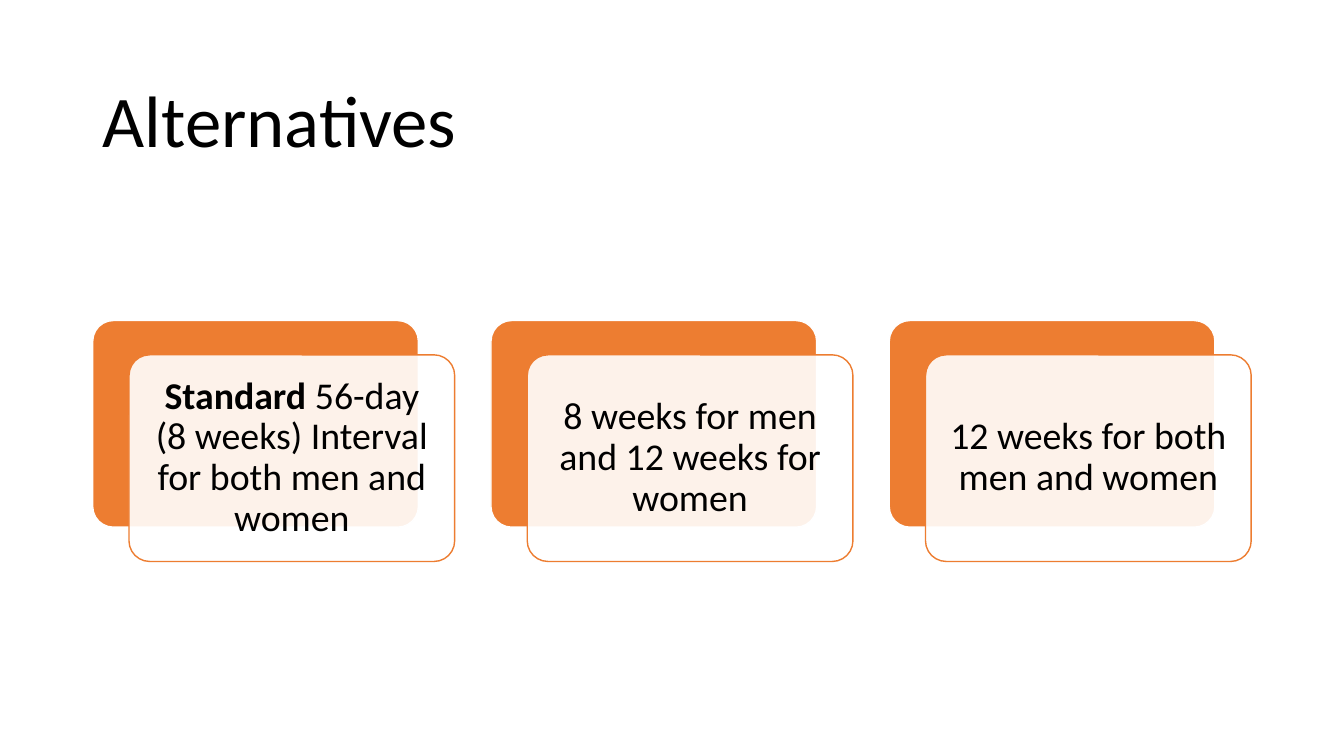
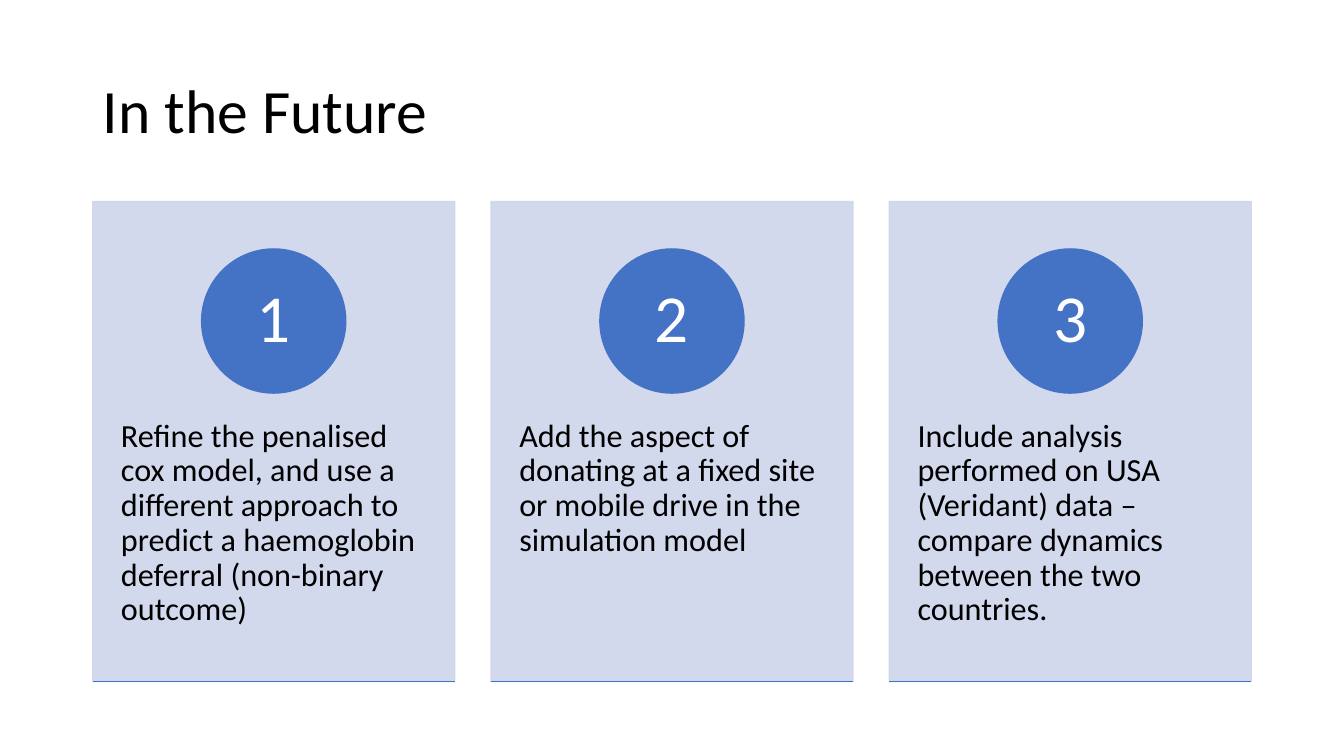
import pptx
import pptx.util
import pptx.dml.color
import pptx.enum.shapes
import pptx.enum.text
import pptx.oxml
import pptx.oxml.ns

PX = 9144
FONT = "Calibri"
COLORS = {
    "text": "000000",
    "white": "FFFFFF",
    "orange": "ED7D31",
    "blue": "4472C4",
    "pale": "CFD5EA",
}
SHAPE = pptx.enum.shapes.MSO_SHAPE
ALIGN = pptx.enum.text.PP_ALIGN
ANCHOR = pptx.enum.text.MSO_ANCHOR
LEFT, PITCH = 92, 395

ALTERNATIVES = [
    [("Standard", True), (" 56-day (8 weeks) Interval for both men and women", False)],
    [("8 weeks for men and 12 weeks for women", False)],
    [("12 weeks for both men and women", False)],
]
FUTURE = [
    "Refine the penalised cox model, and use a different approach to predict a haemoglobin deferral (non-binary outcome)",
    "Add the aspect of donating at a fixed site or mobile drive in the simulation model",
    "Include analysis performed on USA (Veridant) data – compare dynamics between the two countries.",
]


def px(*values):
    return [pptx.util.Emu(v * PX) for v in values]


def rgb(name):
    return pptx.dml.color.RGBColor.from_string(COLORS[name])


def set_alpha(fill_parent, percent):
    color = fill_parent.find(pptx.oxml.ns.qn("a:solidFill"))[0]
    alpha = pptx.oxml.parse_xml(
        f'<a:alpha {pptx.oxml.ns.nsdecls("a")} val="{percent * 1000}"/>')
    color.append(alpha)


def add_box(s, kind, box, fill, line, alpha=None):
    sp = s.shapes.add_shape(kind, *px(*box))
    sp.shadow.inherit = False
    sp.fill.solid()
    sp.fill.fore_color.rgb = rgb(fill)
    sp.line.color.rgb = rgb(line)
    sp.line.width = pptx.util.Pt(1)
    if kind == SHAPE.ROUNDED_RECTANGLE:
        sp.adjustments[0] = 0.1
    if alpha:
        set_alpha(sp.element.spPr, alpha)
    return sp


def write(sp, runs, size, color="text", align=ALIGN.CENTER, anchor=ANCHOR.MIDDLE,
          insets=(11, 11, 11, 11)):
    tf = sp.text_frame
    tf.word_wrap = True
    tf.auto_size = pptx.enum.text.MSO_AUTO_SIZE.NONE
    tf.vertical_anchor = anchor
    tf.margin_left, tf.margin_top, tf.margin_right, tf.margin_bottom = px(*insets)
    p = tf.paragraphs[0]
    p.alignment = align
    p.line_spacing = 0.9
    for text, bold in runs:
        r = p.add_run()
        r.text = text
        r.font.name = FONT
        r.font.size = pptx.util.Pt(size)
        r.font.bold = bold
        r.font.color.rgb = rgb(color)


def add_titled_slide(prs, title, size, box):
    s = prs.slides.add_slide(prs.slide_layouts[5])
    sp = s.shapes.title
    sp.left, sp.top, sp.width, sp.height = px(*box)
    write(sp, [(title, False)], size, align=ALIGN.LEFT, insets=(10, 5, 10, 5))
    return s


def add_card(s, x, y, w, h, runs):
    add_box(s, SHAPE.ROUNDED_RECTANGLE, (x, y, w, h), "orange", "white")
    front = add_box(s, SHAPE.ROUNDED_RECTANGLE, (x + 36, y + 34, w, h),
                    "white", "orange", 90)
    write(front, runs, 27)


def add_panel(s, x, y, w, h, number, text):
    panel = add_box(s, SHAPE.RECTANGLE, (x, y, w, h), "pale", "pale", 90)
    set_alpha(panel.line._get_or_add_ln(), 90)
    write(panel, [(text, False)], 23, align=ALIGN.LEFT, anchor=ANCHOR.TOP,
          insets=(28, 216, 28, 36))
    d = 143
    circle = add_box(s, SHAPE.OVAL, (x + (w - d) // 2, y + 47, d, d), "blue", "blue")
    write(circle, [(str(number), False)], 48, "white", insets=(11, 1, 11, 1))
    rule = s.shapes.add_connector(pptx.enum.shapes.MSO_CONNECTOR.STRAIGHT,
                                  *px(x, y + h, x + w, y + h))
    rule.line.color.rgb = rgb("blue")
    rule.line.width = pptx.util.Pt(1)
    rule.element.spPr.append(pptx.oxml.parse_xml(
        f'<a:effectLst {pptx.oxml.ns.nsdecls("a")}/>'))


def build_alternatives(prs):
    s = add_titled_slide(prs, "Alternatives", 52, (LEFT, 61, 1150, 124))
    for i, runs in enumerate(ALTERNATIVES):
        add_card(s, LEFT + i * PITCH, 318, 323, 205, runs)


def build_future(prs):
    s = add_titled_slide(prs, "In the Future", 44, (LEFT, 40, 1150, 145))
    for i, text in enumerate(FUTURE):
        add_panel(s, LEFT + i * PITCH, 200, 359, 476, i + 1, text)


def main():
    prs = pptx.Presentation()
    prs.slide_width, prs.slide_height = px(1333, 750)
    build_alternatives(prs)
    build_future(prs)
    prs.save("out.pptx")


if __name__ == "__main__":
    main()
